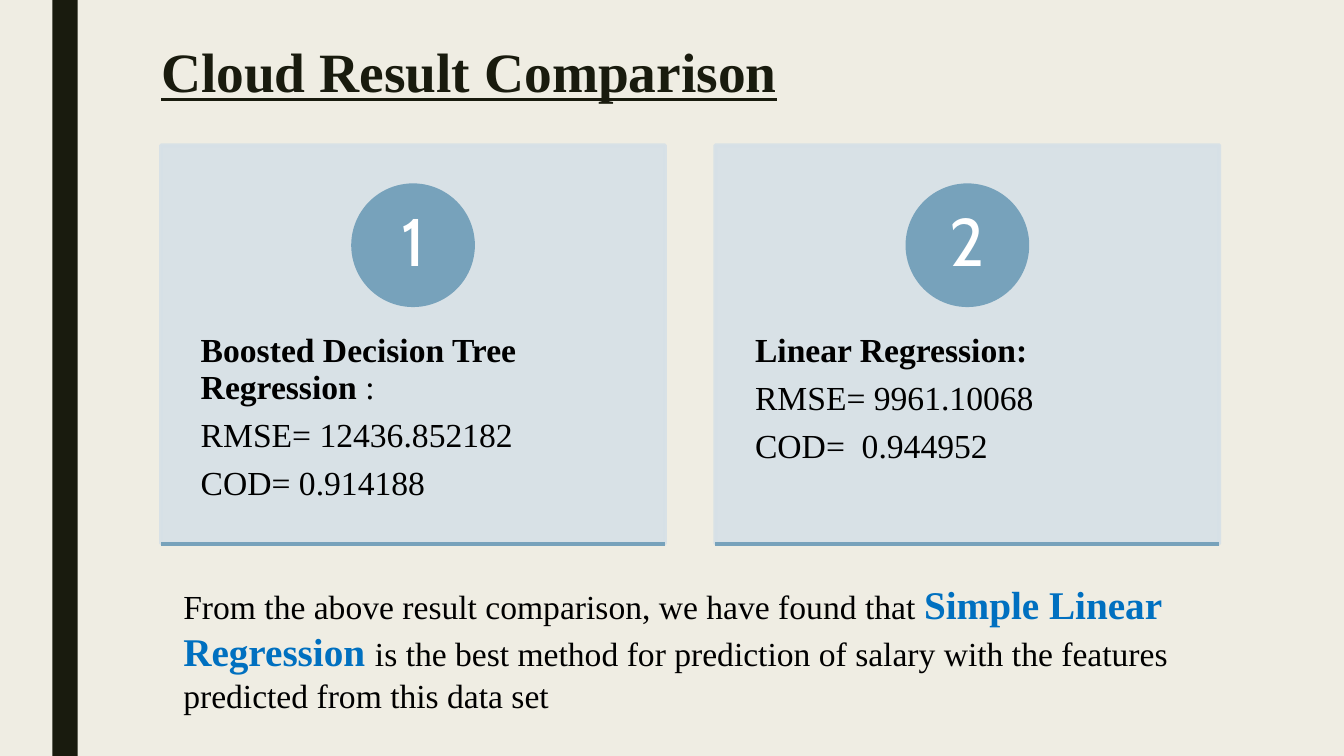
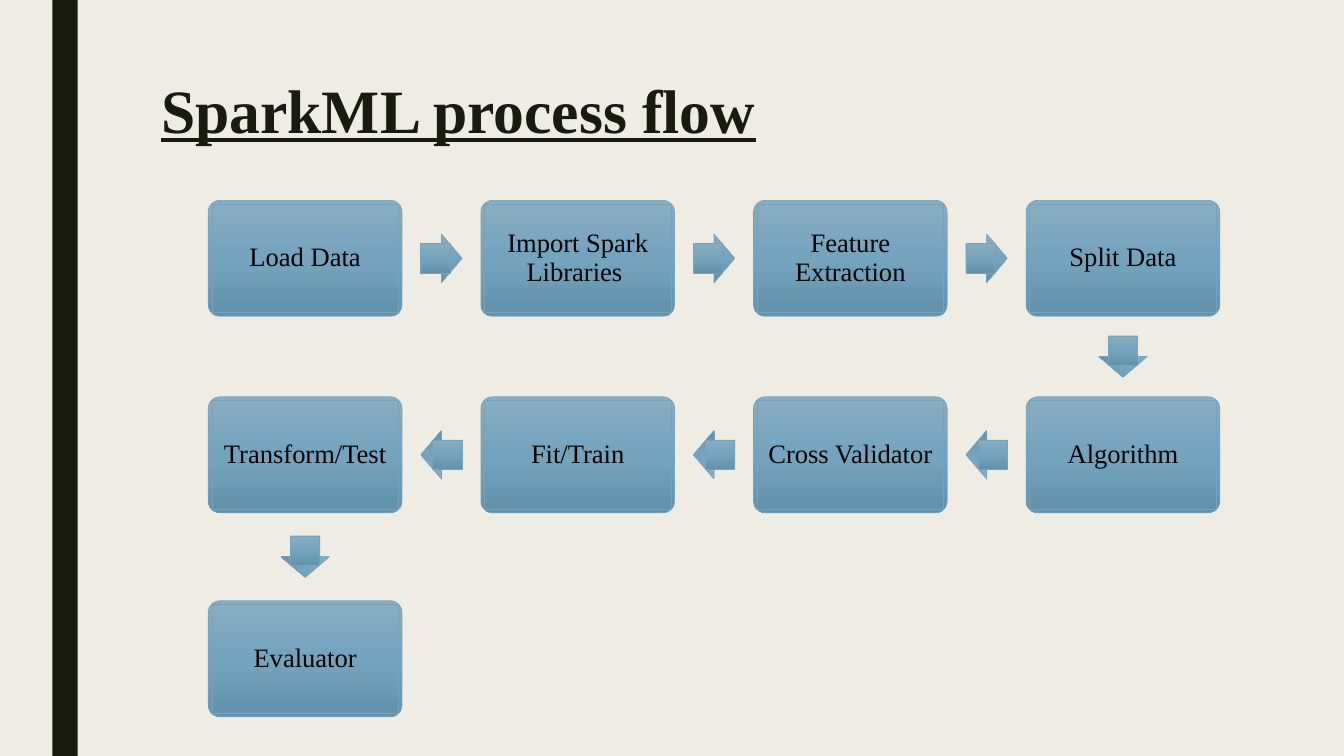
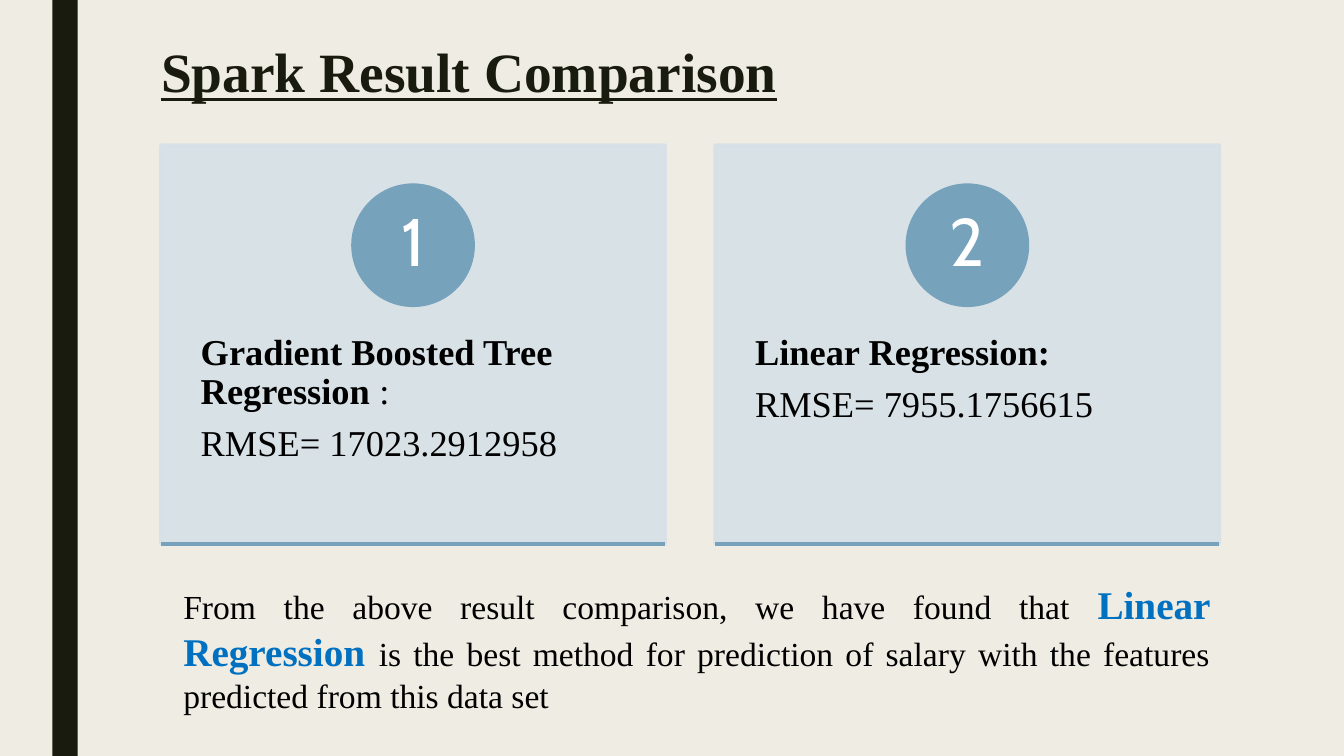
from itertools import pairwise

from lxml import etree
from pptx import Presentation
from pptx.dml.color import RGBColor
from pptx.enum.shapes import MSO_CONNECTOR, MSO_SHAPE
from pptx.enum.text import MSO_ANCHOR, PP_ALIGN
from pptx.oxml.ns import qn
from pptx.util import Cm, Pt

RECTANGLE, ROUNDED = MSO_SHAPE.RECTANGLE, MSO_SHAPE.ROUNDED_RECTANGLE
OVAL, ARROW = MSO_SHAPE.OVAL, MSO_SHAPE.RIGHT_ARROW
STRAIGHT = MSO_CONNECTOR.STRAIGHT
TOP, MIDDLE = MSO_ANCHOR.TOP, MSO_ANCHOR.MIDDLE
LEFT, CENTER, JUSTIFY = PP_ALIGN.LEFT, PP_ALIGN.CENTER, PP_ALIGN.JUSTIFY

COLORS = {
    "background": "EFEDE3",
    "dark": "191B0E",
    "panel": "D6E0E7",
    "accent": "77A2BB",
    "highlight": "0070C0",
    "black": "000000",
    "white": "FFFFFF",
}
GRADIENT = {0: "88ADC3", 50: "74A3BE", 100: "6392AD"}
SERIF, NUMBER_FONT = "Times New Roman", "Cabin"
WIDTH, HEIGHT = 33.87, 19.05

PANEL_LEFT, PANEL_TOP, PANEL_PITCH = 4.06, 3.66, 13.97
PANEL_WIDTH, PANEL_HEIGHT = 12.7, 10.04
NODE_WIDTH, NODE_HEIGHT, NODE_INSET = 4.88, 2.92, 0.09
GRID_LEFT, GRID_PITCH = 5.25, 6.87
ROW_TOPS = [5.05, 10, 15.14]
ARROW_LENGTH, ARROW_WIDTH, SHAFT = 1.04, 1.22, 0.74
ANGLES = {(1, 0): 0, (0, 1): 90, (-1, 0): 180}

FLOW = [
    ("Load Data", 0, 0),
    ("Import Spark Libraries ", 1, 0),
    ("Feature Extraction", 2, 0),
    ("Split Data", 3, 0),
    ("Algorithm", 3, 1),
    ("Cross Validator", 2, 1),
    ("Fit/Train", 1, 1),
    ("Transform/Test", 0, 1),
    ("Evaluator", 0, 2),
]


def rgb(name):
    """Return the named colour."""
    return RGBColor.from_string(COLORS[name])


def add_run(paragraph, text, size, color="black", bold=False, font=SERIF):
    """Add one formatted run and return it."""
    run = paragraph.add_run()
    run.text = text
    run.font.name = font
    run.font.size = Pt(size)
    run.font.bold = bold
    run.font.color.rgb = rgb(color)
    return run


def set_frame(shape, anchor=TOP, horizontal=0.25, vertical=0.13):
    """Set wrapping, anchor and margins, and return the text frame."""
    frame = shape.text_frame
    frame.word_wrap = True
    frame.vertical_anchor = anchor
    frame.margin_left = frame.margin_right = Cm(horizontal)
    frame.margin_top = frame.margin_bottom = Cm(vertical)
    return frame


def add_textbox(slide, left, top, width, height, **frame_options):
    """Add a text box and return its text frame."""
    shape = slide.shapes.add_textbox(Cm(left), Cm(top), Cm(width), Cm(height))
    return set_frame(shape, **frame_options)


def add_shape(slide, kind, left, top, width, height, color, line_width=None):
    """Add a flat shape, outlined in its own colour if a line width is given."""
    shape = slide.shapes.add_shape(kind, Cm(left), Cm(top), Cm(width), Cm(height))
    shape.shadow.inherit = False
    shape.fill.solid()
    shape.fill.fore_color.rgb = rgb(color)
    if line_width is None:
        shape.line.fill.background()
    else:
        shape.line.color.rgb = rgb(color)
        shape.line.width = Pt(line_width)
    return shape


def add_gradient_shape(slide, kind, left, top, width, height):
    """Add a shape with the vertical process gradient."""
    shape = add_shape(slide, kind, left, top, width, height, "accent", 0.5)
    shape.fill.gradient()
    shape.fill.gradient_angle = 270
    stops = shape.element.spPr.find(".//" + qn("a:gsLst"))
    for stop in list(stops):
        stops.remove(stop)
    for position, color in GRADIENT.items():
        stop = etree.SubElement(stops, qn("a:gs"), pos=str(position * 1000))
        etree.SubElement(stop, qn("a:srgbClr"), val=color)
    return shape


def add_base_slide(presentation, title, title_top, title_size):
    """Add a slide with the shared background, side band and title."""
    slide = presentation.slides.add_slide(presentation.slide_layouts[6])
    slide.background.fill.solid()
    slide.background.fill.fore_color.rgb = rgb("background")
    add_shape(slide, RECTANGLE, 1.32, 0, 0.64, HEIGHT, "dark")
    frame = add_textbox(slide, 3.81, title_top, 26.67, 2.64)
    paragraph = frame.paragraphs[0]
    paragraph.line_spacing = 0.89
    add_run(paragraph, title, title_size, "dark", bold=True).font.underline = True
    return slide


def add_panel(slide, left, top, number, lines, size):
    """Add a result panel with its number, text lines and bottom rule."""
    panel = add_shape(slide, RECTANGLE, left, top, PANEL_WIDTH, PANEL_HEIGHT, "panel", 2.75)
    for color in panel.element.spPr.iter(qn("a:srgbClr")):
        etree.SubElement(color, qn("a:alpha"), val="90000")

    frame = add_textbox(slide, left, top + 3.84, PANEL_WIDTH, 6.02, horizontal=1, vertical=0.91)
    for index, runs in enumerate(lines):
        paragraph = frame.add_paragraph() if index else frame.paragraphs[0]
        paragraph.line_spacing = 0.9
        paragraph.space_after = Pt(0.35 * size)
        for text, bold in runs:
            add_run(paragraph, text, size, bold=bold)

    diameter = 3.02
    circle_left = left + (PANEL_WIDTH - diameter) / 2
    circle = add_shape(slide, OVAL, circle_left, top + 1.01, diameter, diameter, "accent", 2.75)
    paragraph = set_frame(circle, MIDDLE, 0, 0).paragraphs[0]
    paragraph.alignment = CENTER
    paragraph.line_spacing = 0.9
    add_run(paragraph, str(number), 48, "white", font=NUMBER_FONT)

    bottom = Cm(top + PANEL_HEIGHT)
    rule = slide.shapes.add_connector(STRAIGHT, Cm(left), bottom, Cm(left + PANEL_WIDTH), bottom)
    rule.line.color.rgb = rgb("accent")
    rule.line.width = Pt(2.75)
    etree.SubElement(rule.element.spPr, qn("a:effectLst"))


def add_conclusion(slide, left, top, method, alignment):
    """Add the concluding sentence with the best method highlighted."""
    paragraph = add_textbox(slide, left, top, 26.37, 3.68).paragraphs[0]
    paragraph.alignment = alignment
    add_run(paragraph, "From the above result comparison, we have found that ", 24)
    add_run(paragraph, method + " ", 28, "highlight", bold=True)
    add_run(
        paragraph,
        "is the best method for prediction of salary with the features "
        "predicted from this data set",
        24,
    )


def add_comparison_slide(presentation, title, panels, size, method, alignment):
    """Add a slide that compares results in numbered panels."""
    slide = add_base_slide(presentation, title, 1.02, 39.6)
    for index, lines in enumerate(panels):
        left = PANEL_LEFT + index * PANEL_PITCH
        add_panel(slide, left, PANEL_TOP, index + 1, lines, size)
    add_conclusion(slide, 4.37, 14.5, method, alignment)


def add_node(slide, left, top, label):
    """Add a process step: a rounded frame around a label."""
    frame = add_gradient_shape(slide, ROUNDED, left, top, NODE_WIDTH, NODE_HEIGHT)
    frame.adjustments[0] = 0.1
    face = add_gradient_shape(
        slide,
        RECTANGLE,
        left + NODE_INSET,
        top + NODE_INSET,
        NODE_WIDTH - 2 * NODE_INSET,
        NODE_HEIGHT - 2 * NODE_INSET,
    )
    paragraph = set_frame(face, MIDDLE, 0.2, 0.2).paragraphs[0]
    paragraph.alignment = CENTER
    paragraph.line_spacing = 0.9
    add_run(paragraph, label, 19)


def add_flow_arrow(slide, center_x, center_y, direction):
    """Add a block arrow centred on a point, with a square shaft at its tail."""
    arrow = add_gradient_shape(
        slide,
        ARROW,
        center_x - ARROW_LENGTH / 2,
        center_y - ARROW_WIDTH / 2,
        ARROW_LENGTH,
        ARROW_WIDTH,
    )
    arrow.adjustments[0] = 0.6
    arrow.adjustments[1] = 0.5
    arrow.rotation = ANGLES[direction]
    tail = (ARROW_LENGTH - SHAFT) / 2
    shaft_left = center_x - direction[0] * tail - SHAFT / 2
    shaft_top = center_y - direction[1] * tail - SHAFT / 2
    add_gradient_shape(slide, RECTANGLE, shaft_left, shaft_top, SHAFT, SHAFT)


def add_flow_slide(presentation, title, steps):
    """Add a slide with steps on a grid, joined by block arrows."""
    slide = add_base_slide(presentation, title, 1.9, 44)
    for label, column, row in steps:
        add_node(slide, GRID_LEFT + column * GRID_PITCH, ROW_TOPS[row], label)
    for (_, column, row), (_, next_column, next_row) in pairwise(steps):
        center_x = GRID_LEFT + (column + next_column) / 2 * GRID_PITCH + NODE_WIDTH / 2
        center_y = (ROW_TOPS[row] + ROW_TOPS[next_row] + NODE_HEIGHT) / 2
        add_flow_arrow(slide, center_x, center_y, (next_column - column, next_row - row))


def main():
    """Build and save the presentation."""
    presentation = Presentation()
    presentation.slide_width = Cm(WIDTH)
    presentation.slide_height = Cm(HEIGHT)
    add_comparison_slide(
        presentation,
        "Cloud Result Comparison",
        [
            [
                [("Boosted Decision Tree Regression ", True), (":", False)],
                [("RMSE= 12436.852182", False)],
                [("COD= 0.914188", False)],
            ],
            [
                [("Linear Regression:", True)],
                [("RMSE= 9961.10068", False)],
                [("COD=  0.944952", False)],
            ],
        ],
        24,
        "Simple Linear Regression",
        LEFT,
    )
    add_flow_slide(presentation, "SparkML process flow", FLOW)
    add_comparison_slide(
        presentation,
        "Spark Result Comparison",
        [
            [
                [("Gradient Boosted Tree Regression ", True), (":", False)],
                [("RMSE= 17023.2912958", False)],
            ],
            [
                [("Linear Regression:", True)],
                [("RMSE= 7955.1756615", False)],
            ],
        ],
        26,
        "Linear Regression",
        JUSTIFY,
    )
    presentation.save("out.pptx")


if __name__ == "__main__":
    main()
